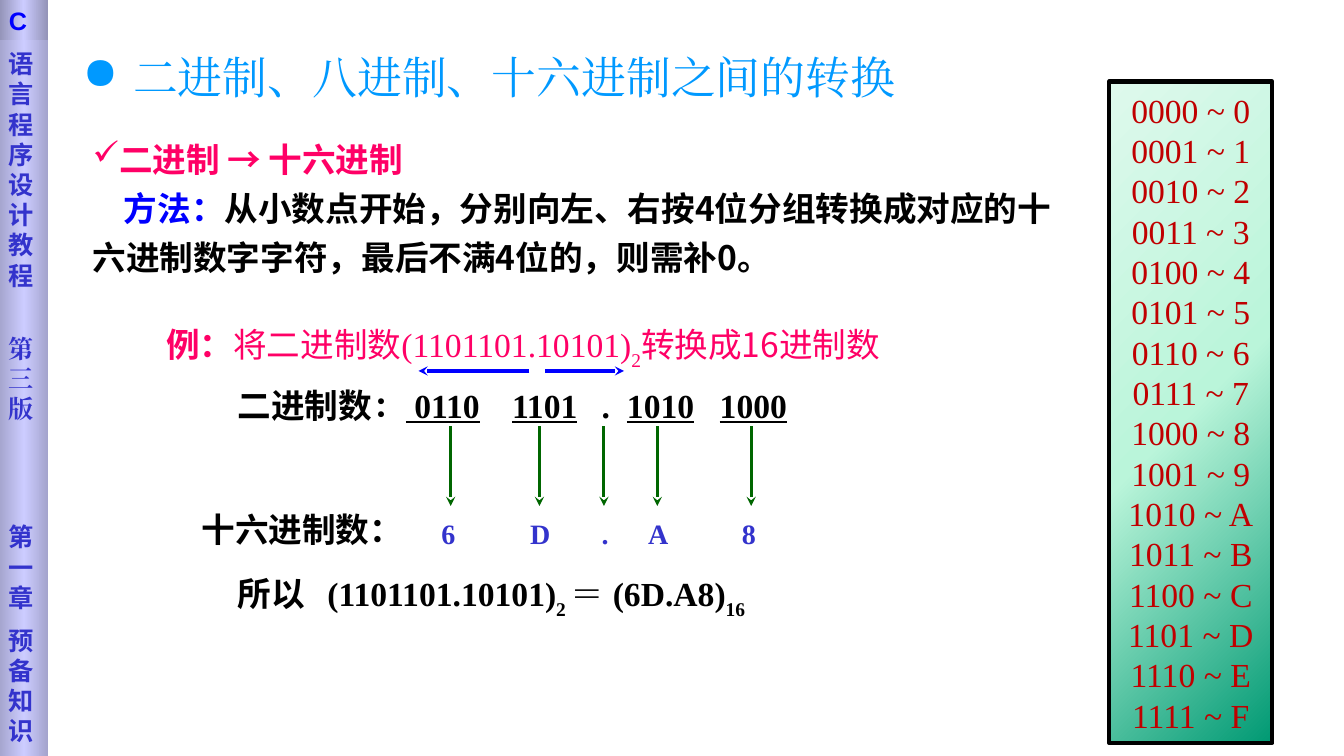
from pptx import Presentation
from pptx.dml.color import RGBColor
from pptx.enum.shapes import MSO_CONNECTOR as Link, MSO_SHAPE as Form
from pptx.enum.text import MSO_ANCHOR as Anchor, MSO_AUTO_SIZE as Fit, PP_ALIGN as Align
from pptx.oxml import parse_xml
from pptx.oxml.ns import qn
from pptx.util import Inches, Pt
from lxml.etree import SubElement

SKY = RGBColor(0x00, 0x99, 0xFF)
PINK = RGBColor(0xFF, 0x00, 0x66)
BLACK = RGBColor(0x00, 0x00, 0x00)
BLUE = RGBColor(0x00, 0x00, 0xFF)
GREEN = RGBColor(0x00, 0x66, 0x00)
INDIGO = RGBColor(0x33, 0x33, 0xCC)
RED = RGBColor(0xC0, 0x00, 0x00)
MINT = [RGBColor(0x00, 0x99, 0x73), RGBColor(0xBA, 0xF5, 0xDA), RGBColor(0xDE, 0xF9, 0xEC)]
LILAC = [RGBColor(0xA4, 0xA4, 0xCD), RGBColor(0xCC, 0xCC, 0xFF), RGBColor(0xA4, 0xA4, 0xCD)]
STEEL = [RGBColor(0x92, 0x92, 0xB6), RGBColor(0xCC, 0xCC, 0xFF), RGBColor(0x92, 0x92, 0xB6)]

NOTO = "Noto Sans CJK SC"
TIMES = "Times New Roman"
DEJAVU = "DejaVu Sans"
DRAW = "http://schemas.openxmlformats.org/drawingml/2006/main"


def add_run(para, text, size, face, color, bold=False, line=False, sub=False):
    run = para.add_run()
    run.text = text
    font = run.font
    font.size, font.name, font.bold = Pt(size), face, bold
    font.color.rgb = color
    if line:
        font.underline = True
    props = run._r.get_or_add_rPr()
    if sub:
        props.set("baseline", "-30000")
    SubElement(props, qn("a:ea")).set("typeface", face)


def add_box(shapes, left, top, width, height, anchor=Anchor.MIDDLE, wrap=True):
    box = shapes.add_textbox(Inches(left), Inches(top), Inches(width), Inches(height))
    frame = box.text_frame
    frame.word_wrap = wrap
    frame.auto_size = Fit.SHAPE_TO_FIT_TEXT
    frame.vertical_anchor = anchor
    return frame


def add_panel(shapes, left, top, width, height, colors, angle, anchor=Anchor.TOP):
    panel = shapes.add_shape(Form.RECTANGLE, Inches(left), Inches(top), Inches(width), Inches(height))
    panel.shadow.inherit = False
    panel.line.fill.background()
    stops = "".join(
        f'<a:gs pos="{i * 50000}"><a:srgbClr val="{c}"/></a:gs>' for i, c in enumerate(colors))
    grad = parse_xml(
        f'<a:gradFill xmlns:a="{DRAW}" rotWithShape="1"><a:gsLst>{stops}</a:gsLst>'
        f'<a:lin ang="{angle * 60000}" scaled="0"/></a:gradFill>')
    panel._element.spPr.find(qn("a:prstGeom")).addnext(grad)
    panel.text_frame.word_wrap = True
    panel.text_frame.vertical_anchor = anchor
    return panel


def add_arrow(shapes, x1, y1, x2, y2, color):
    arrow = shapes.add_connector(Link.STRAIGHT, Inches(x1), Inches(y1), Inches(x2), Inches(y2))
    arrow.line.color.rgb = color
    arrow.line.width = Pt(2.25)
    SubElement(arrow.line._get_or_add_ln(), qn("a:tailEnd")).set("type", "stealth")
    SubElement(arrow._element.spPr, qn("a:effectLst"))


def set_bullet(para, char, color):
    props = para._p.get_or_add_pPr()
    tint = SubElement(SubElement(props, qn("a:buClr")), qn("a:srgbClr"))
    tint.set("val", str(color))
    SubElement(props, qn("a:buChar")).set("char", char)


def set_tabs(para, stops):
    tabs = SubElement(para._p.get_or_add_pPr(), qn("a:tabLst"))
    for stop in stops:
        tab = SubElement(tabs, qn("a:tab"))
        tab.set("pos", str(Inches(stop)))
        tab.set("algn", "l")


def set_indent(para, left, first):
    props = para._p.get_or_add_pPr()
    props.set("marL", str(Inches(left)))
    props.set("indent", str(Inches(first)))


def add_title(shapes):
    frame = add_box(shapes, 0.82, 0.44, 8.98, 0.63, Anchor.TOP)
    frame.margin_left = 0
    para = frame.paragraphs[0]
    set_indent(para, 0.5, -0.5)
    set_bullet(para, "●", SKY)
    add_run(para, "二进制、八进制、十六进制之间的转换", 32, TIMES, SKY)


def add_method(shapes):
    frame = add_box(shapes, 0.82, 1.31, 9.94, 1.46, Anchor.TOP)
    head, body = frame.paragraphs[0], frame.add_paragraph()
    head.line_spacing, body.line_spacing = Pt(30), Pt(35)
    set_bullet(head, "✓", PINK)
    add_run(head, "二进制 → 十六进制", 24, NOTO, PINK, True)
    set_indent(body, 0, 0.31)
    add_run(body, "方法：", 24, NOTO, BLUE, True)
    add_run(body, "从小数点开始，分别向左、右按4位分组转换成对应的十六进制数字字符，"
            "最后不满4位的，则需补0。", 24, NOTO, BLACK, True)


def add_sample(shapes):
    para = add_box(shapes, 1.55, 3.2, 7.45, 0.5).paragraphs[0]
    add_run(para, "例：", 24, NOTO, PINK, True)
    add_run(para, "将二进制数", 24, NOTO, PINK)
    add_run(para, "(1101101.10101)", 24, TIMES, PINK)
    add_run(para, "2", 24, TIMES, PINK, sub=True)
    add_run(para, "转换成16进制数", 24, NOTO, PINK)


def add_binary(shapes):
    para = add_box(shapes, 2.26, 3.77, 6.22, 0.5).paragraphs[0]
    set_tabs(para, [2.72, 3.61, 3.86, 4.78])
    add_run(para, "二进制数", 24, NOTO, BLACK, True)
    add_run(para, "：", 24, TIMES, BLACK, True)
    for text in (" 0110", "\t", "1101", "\t.\t", "1010", "\t", "1000"):
        add_run(para, text, 24, TIMES, BLACK, True, line="\t" not in text)


def add_result(shapes):
    para = add_box(shapes, 2.26, 5.67, 6.77, 0.5).paragraphs[0]
    set_tabs(para, [0.89])
    add_run(para, "所以\t", 24, NOTO, BLACK, True)
    for text, sub in (("(1101101.10101)", False), ("2 ", True), ("＝ (6D.A8)", False), ("16", True)):
        add_run(para, text, 24, TIMES, BLACK, True, sub=sub)


def add_digit(shapes, digit, x):
    group = shapes.add_group_shape().shapes
    add_arrow(group, x, 4.23, x, 5.02, GREEN)
    para = add_box(group, x - 0.19, 5.08, 0.39, 0.43).paragraphs[0]
    add_run(para, digit, 20, TIMES, INDIGO, True)


def add_codes(shapes):
    panel = add_panel(shapes, 11, 0.81, 1.62, 6.56, MINT, 225, Anchor.MIDDLE)
    panel.line.color.rgb = BLACK
    panel.line.width = Pt(3)
    frame = panel.text_frame
    for value in range(16):
        para = frame.add_paragraph() if value else frame.paragraphs[0]
        para.alignment = Align.CENTER
        para.line_spacing = Pt(28.8)
        add_run(para, f"{value:04b} ~ {value:X}", 24, TIMES, RED)


def add_sidebar(shapes):
    group = shapes.add_group_shape().shapes
    frame = add_panel(group, -0.01, 0, 0.49, 7.5, LILAC, 0).text_frame
    frame.margin_top = Inches(0.48)
    rows = [("语言程序设计教程", DEJAVU, 0), ("第三版", TIMES, 30.5),
            ("第一章", DEJAVU, 70), ("预备知识", DEJAVU, 9)]
    for i, (text, face, gap) in enumerate(rows):
        para = frame.add_paragraph() if i else frame.paragraphs[0]
        para.alignment = Align.LEFT
        para.line_spacing = Pt(21.6)
        para.space_before = Pt(gap)
        add_run(para, text, 18, face, INDIGO, True)
    para = add_panel(group, -0.01, 0, 0.49, 0.4, STEEL, 0).text_frame.paragraphs[0]
    para.alignment = Align.LEFT
    add_run(para, "C", 18, "Arial", BLUE, True)


def main():
    deck = Presentation()
    deck.slide_width, deck.slide_height = Inches(13.33), Inches(7.5)
    shapes = deck.slides.add_slide(deck.slide_layouts[6]).shapes
    add_title(shapes)
    add_sample(shapes)
    add_result(shapes)
    add_binary(shapes)
    add_arrow(shapes, 5.25, 3.68, 4.15, 3.68, BLUE)
    add_arrow(shapes, 5.41, 3.68, 6.19, 3.68, BLUE)
    label = add_box(shapes, 1.9, 5, 2.21, 0.5, Anchor.TOP, False)
    add_run(label.paragraphs[0], "十六进制数：", 24, NOTO, BLACK, True)
    for digit, x in (("6", 4.47), ("D", 5.35), (" .", 5.99), ("A", 6.52), ("8", 7.45)):
        add_digit(shapes, digit, x)
    add_codes(shapes)
    add_sidebar(shapes)
    add_method(shapes)
    deck.save("out.pptx")


if __name__ == "__main__":
    main()
